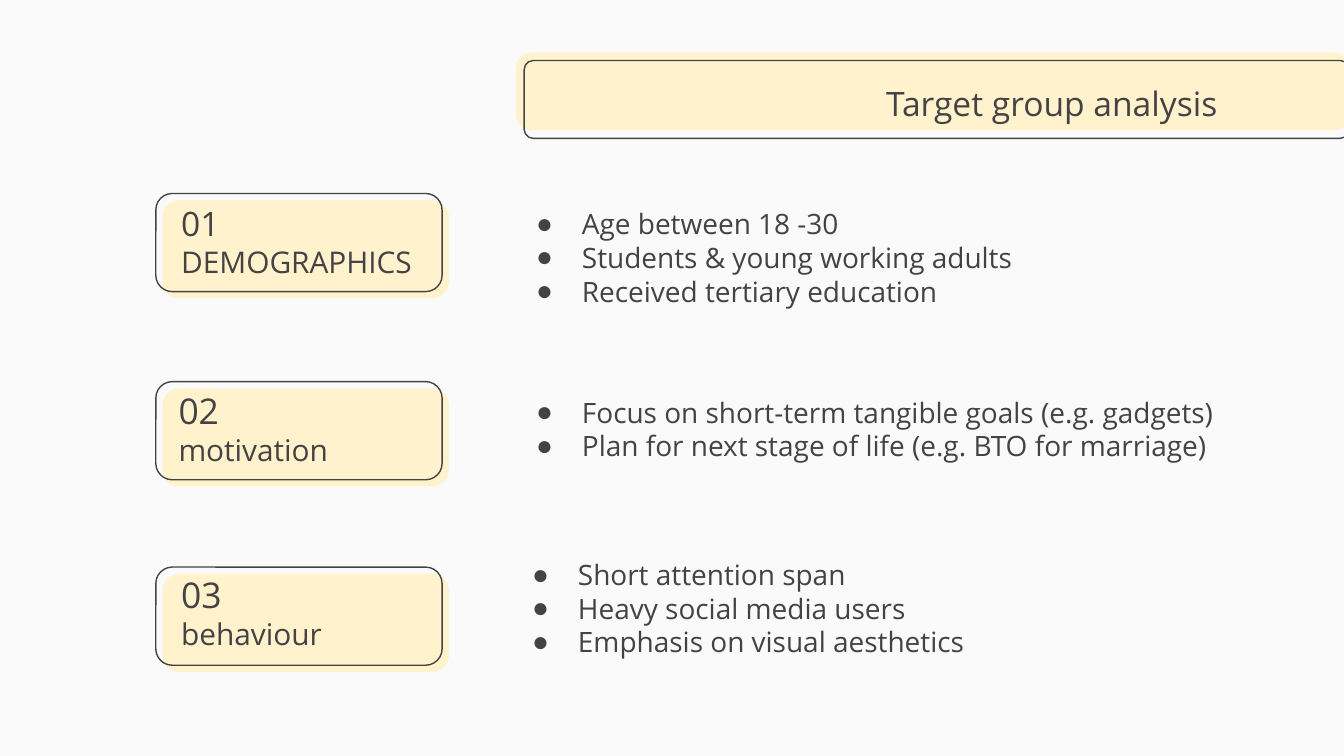
from lxml import etree
from pptx import Presentation
from pptx.dml.color import RGBColor
from pptx.enum.shapes import MSO_SHAPE
from pptx.enum.text import MSO_ANCHOR, MSO_AUTO_SIZE, PP_ALIGN
from pptx.oxml.ns import qn
from pptx.util import Inches, Pt

ROUNDED = MSO_SHAPE.ROUNDED_RECTANGLE
TOP, MIDDLE, BOTTOM = MSO_ANCHOR.TOP, MSO_ANCHOR.MIDDLE, MSO_ANCHOR.BOTTOM
LEFT, RIGHT = PP_ALIGN.LEFT, PP_ALIGN.RIGHT
NO_AUTOFIT = MSO_AUTO_SIZE.NONE
COMPARISON_LAYOUT = 4

CREAM = RGBColor(0xFF, 0xF2, 0xCC)
CHARCOAL = RGBColor(0x43, 0x43, 0x43)
OFF_WHITE = RGBColor(0xFA, 0xFA, 0xFA)
FONT = "Open Sans"

SECTIONS = [
    {"label": ["01", "DEMOGRAPHICS"], "number_size": 18, "card_top": 1.44,
     "label_at": (1.25, 1.55, 2.01, 0.63), "list_at": (3.73, 1.44, 4.04, 0.63),
     "points": ["Age between 18 -30", "Students & young working adults",
                "Received tertiary education"]},
    {"label": ["02", "motivation"], "number_size": 19, "card_top": 2.84,
     "label_at": (1.23, 2.95, 2.01, 0.63), "list_at": (3.73, 2.84, 5.44, 0.63),
     "points": ["Focus on short-term tangible goals (e.g. gadgets)",
                "Plan for next stage of life (e.g. BTO for marriage)"]},
    {"label": ["03", "behaviour"], "number_size": 19, "card_top": 4.22,
     "label_at": (1.25, 4.32, 2.01, 0.63), "list_at": (3.7, 4.05, 4.04, 1.07),
     "points": ["Short attention span", "Heavy social media users",
                "Emphasis on visual aesthetics"]},
]


def add_panel(slide, area, radius, filled):
    panel = slide.shapes.add_shape(ROUNDED, *map(Inches, area))
    panel.adjustments[0] = radius
    panel.shadow.inherit = False
    if filled:
        panel.fill.solid()
        panel.fill.fore_color.rgb = CREAM
        panel.line.fill.background()
    else:
        panel.fill.background()
        panel.line.color.rgb = CHARCOAL
        panel.line.width = Pt(0.75)


def place(holder, area):
    holder.left, holder.top, holder.width, holder.height = map(Inches, area)


def write(holder, lines, sizes, anchor, align=LEFT):
    frame = holder.text_frame
    frame.text = "\n".join(lines)
    frame.word_wrap = True
    frame.auto_size = NO_AUTOFIT
    frame.vertical_anchor = anchor
    frame.margin_left = frame.margin_right = Inches(0.1)
    frame.margin_top = frame.margin_bottom = Inches(0.1)
    for paragraph, size in zip(frame.paragraphs, sizes):
        paragraph.alignment = align
        paragraph.space_before = paragraph.space_after = Pt(0)
        for run in paragraph.runs:
            run.font.name = FONT
            run.font.size = Pt(size)
            run.font.bold = False
            run.font.color.rgb = CHARCOAL


def add_bullets(holder):
    for paragraph in holder.text_frame.paragraphs:
        properties = paragraph._p.get_or_add_pPr()
        properties.set("marL", str(Inches(0.5)))
        properties.set("indent", str(Inches(-0.34)))
        color = etree.SubElement(properties, qn("a:buClr"))
        etree.SubElement(color, qn("a:srgbClr"), val=str(CHARCOAL))
        etree.SubElement(properties, qn("a:buChar"), char="●")


def add_header(slide):
    add_panel(slide, (3.84, 0.39, 6.2, 0.58), 0.199, True)
    add_panel(slide, (3.9, 0.45, 6.14, 0.58), 0.119, False)
    title = slide.shapes.title
    slide.shapes._spTree.append(title._element)
    place(title, (5.67, 0.5, 3.49, 0.53))
    write(title, ["Target group analysis"], [18], MIDDLE, RIGHT)


def add_section(slide, section, point_list):
    top = section["card_top"]
    add_panel(slide, (1.21, top + 0.05, 2.13, 0.73), 0.167, True)
    add_panel(slide, (1.16, top, 2.13, 0.73), 0.167, False)
    label = slide.shapes.add_textbox(*map(Inches, section["label_at"]))
    write(label, section["label"], [section["number_size"], 16], BOTTOM)
    points = section["points"]
    place(point_list, section["list_at"])
    write(point_list, points, [15] * len(points), TOP)
    add_bullets(point_list)


def main():
    deck = Presentation()
    deck.slide_width = Inches(10)
    deck.slide_height = deck.slide_width * 9 // 16
    slide = deck.slides.add_slide(deck.slide_layouts[COMPARISON_LAYOUT])
    slide.background.fill.solid()
    slide.background.fill.fore_color.rgb = OFF_WHITE
    *point_lists, unused = list(slide.placeholders)[1:]
    unused._element.getparent().remove(unused._element)
    add_header(slide)
    for section, point_list in zip(SECTIONS, point_lists):
        add_section(slide, section, point_list)
    deck.save("out.pptx")


main()
